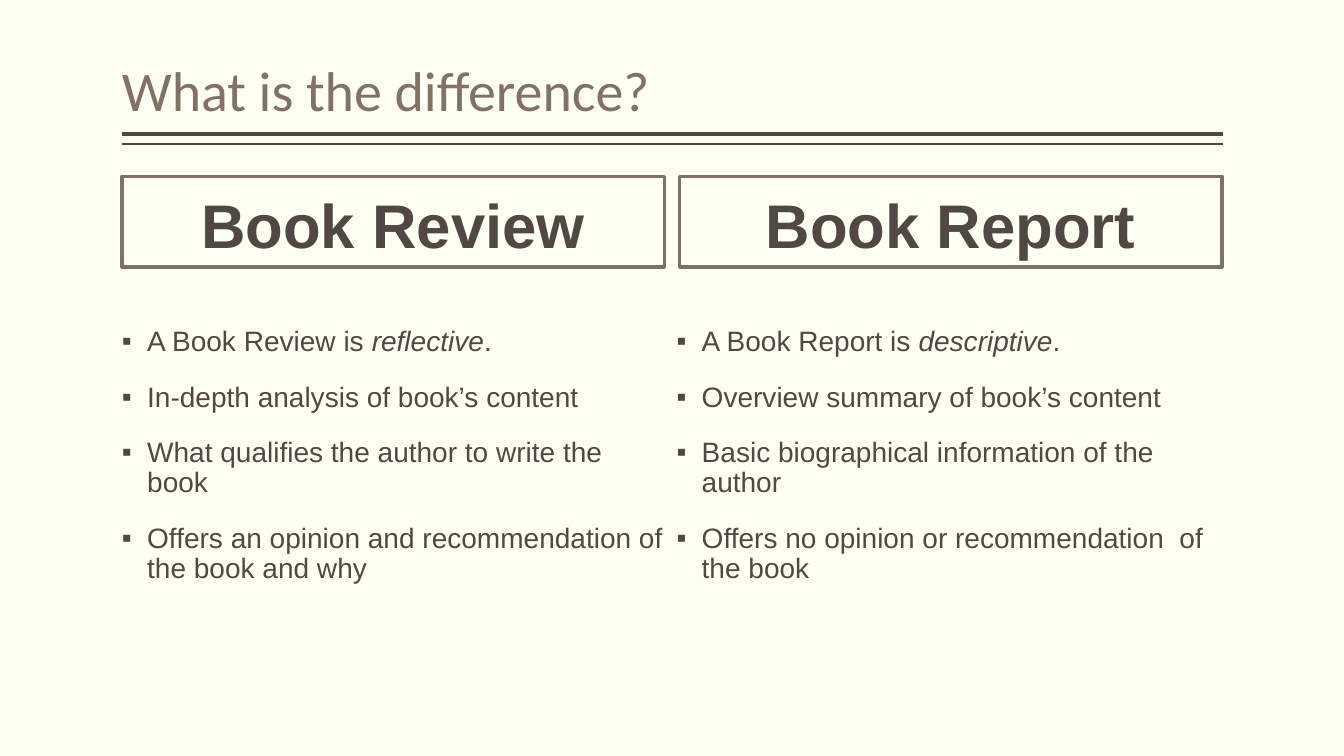
from dataclasses import dataclass

from lxml import etree
from pptx import Presentation
from pptx.dml.color import RGBColor
from pptx.enum.shapes import MSO_CONNECTOR, MSO_SHAPE
from pptx.enum.text import MSO_ANCHOR, PP_ALIGN
from pptx.oxml.ns import qn
from pptx.util import Inches, Pt

RECT = MSO_SHAPE.RECTANGLE
STRAIGHT = MSO_CONNECTOR.STRAIGHT
TOP, BOTTOM = MSO_ANCHOR.TOP, MSO_ANCHOR.BOTTOM
LEFT, CENTER = PP_ALIGN.LEFT, PP_ALIGN.CENTER


@dataclass(frozen=True)
class Theme:
    paper: RGBColor = RGBColor.from_string("FFFFF3")
    ink: RGBColor = RGBColor.from_string("514843")
    accent: RGBColor = RGBColor.from_string("827266")
    title: int = 40
    head: int = 44
    body: int = 20
    gap: int = 18


THEME = Theme()
EDGE, WIDTH = 1.21, 10.92
COL = 5.38

# Each point is a list of (text, italic) runs.
COLUMNS = [
    ("Book Review", EDGE, EDGE, COL, [
        [("A Book Review is ", False), ("reflective", True), (".", False)],
        [("In-depth analysis of book’s content", False)],
        [("What qualifies the author to write the book", False)],
        [("Offers an opinion and recommendation of the book and why", False)],
    ]),
    ("Book Report", 6.74, 6.71, 5.41, [
        [("A Book Report is ", False), ("descriptive", True), (".", False)],
        [("Overview summary of book’s content", False)],
        [("Basic biographical information of the author", False)],
        [("Offers no opinion or recommendation  of the book", False)],
    ]),
]


def set_frame(shape, anchor):
    frame = shape.text_frame
    style = {
        "word_wrap": True, "vertical_anchor": anchor,
        "margin_left": 0, "margin_right": 0,
        "margin_top": Inches(0.05), "margin_bottom": Inches(0.05),
    }
    for name, value in style.items():
        setattr(frame, name, value)
    return frame


def add_run(para, text, **style):
    run = para.add_run()
    run.text = text
    color = style.pop("color", THEME.ink)
    for name, value in style.items():
        setattr(run.font, name, value)
    run.font.color.rgb = color


def set_bullet(para):
    """Give the paragraph a hanging square bullet."""
    props = para._p.get_or_add_pPr()
    props.set("marL", str(Inches(0.25)))
    props.set("indent", str(-Inches(0.25)))
    etree.SubElement(props, qn("a:buFont"), typeface="Arial")
    etree.SubElement(props, qn("a:buChar"), char="▪")


def add_title(slide, text):
    box = slide.shapes.add_textbox(
        Inches(EDGE), Inches(0.08), Inches(WIDTH), Inches(1.2))
    para = set_frame(box, BOTTOM).paragraphs[0]
    para.line_spacing = 0.9
    add_run(para, text, name="Calibri", size=Pt(THEME.title),
            color=THEME.accent)


def add_rule(slide, y, weight):
    rule = slide.shapes.add_connector(
        STRAIGHT, Inches(EDGE + WIDTH), Inches(y), Inches(EDGE), Inches(y))
    rule.line.color.rgb = THEME.ink
    rule.line.width = Pt(weight)
    etree.SubElement(rule._element.spPr, qn("a:effectLst"))


def add_head(slide, text, x):
    box = slide.shapes.add_shape(
        RECT, Inches(x), Inches(1.75), Inches(COL), Inches(0.9))
    box.shadow.inherit = False
    box.fill.background()
    box.line.color.rgb = THEME.accent
    box.line.width = Pt(2.25)
    para = set_frame(box, BOTTOM).paragraphs[0]
    para.alignment = CENTER
    para.line_spacing = 0.9
    add_run(para, text, name="Arial", size=Pt(THEME.head), bold=True)


def add_points(slide, points, x, width):
    box = slide.shapes.add_textbox(
        Inches(x), Inches(3.2), Inches(width), Inches(3.55))
    frame = set_frame(box, TOP)
    for i, point in enumerate(points):
        para = frame.add_paragraph() if i else frame.paragraphs[0]
        para.alignment = LEFT
        para.line_spacing = 0.9
        para.space_before = Pt(THEME.gap if i else 0)
        set_bullet(para)
        for text, italic in point:
            add_run(para, text, name="Arial", size=Pt(THEME.body),
                    italic=italic)


def main():
    deck = Presentation()
    deck.slide_width, deck.slide_height = Inches(13.33), Inches(7.5)
    slide = deck.slides.add_slide(deck.slide_layouts[6])
    fill = slide.background.fill
    fill.solid()
    fill.fore_color.rgb = THEME.paper

    for y, weight in ((1.33, 3), (1.43, 1)):
        add_rule(slide, y, weight)
    add_title(slide, "What is the difference?")
    for head, head_x, list_x, width, points in COLUMNS:
        add_head(slide, head, head_x)
        add_points(slide, points, list_x, width)
    deck.save("out.pptx")


if __name__ == "__main__":
    main()
